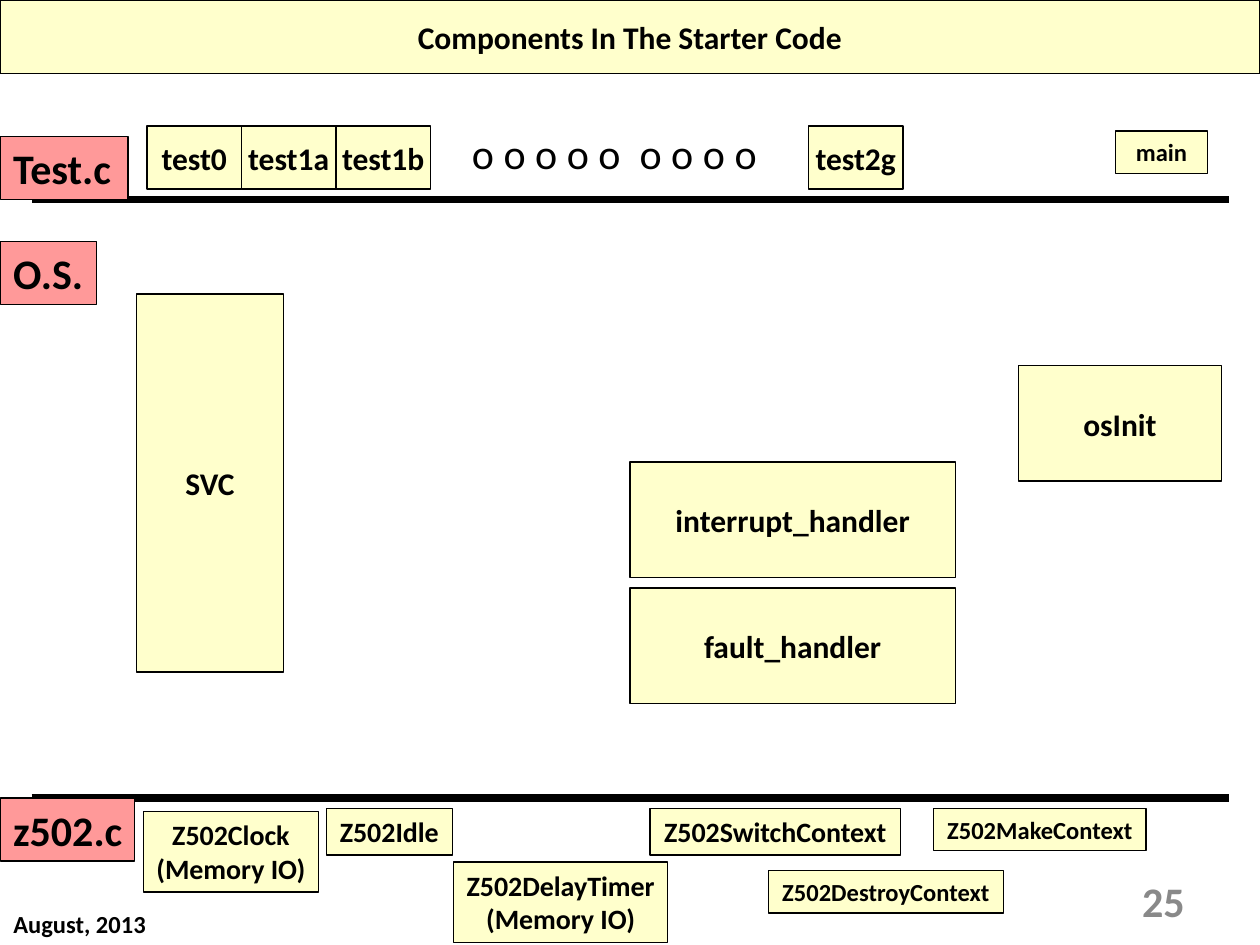
from dataclasses import dataclass

from lxml import etree
from pptx import Presentation
from pptx.dml.color import RGBColor
from pptx.enum.shapes import MSO_CONNECTOR, MSO_SHAPE
from pptx.enum.text import MSO_ANCHOR, MSO_AUTO_SIZE, PP_ALIGN
from pptx.oxml.ns import qn
from pptx.util import Pt

RECT = MSO_SHAPE.RECTANGLE
STRAIGHT = MSO_CONNECTOR.STRAIGHT
TOP, MIDDLE = MSO_ANCHOR.TOP, MSO_ANCHOR.MIDDLE
LEFT, CENTER, RIGHT = PP_ALIGN.LEFT, PP_ALIGN.CENTER, PP_ALIGN.RIGHT
FIXED, GROW = MSO_AUTO_SIZE.NONE, MSO_AUTO_SIZE.SHAPE_TO_FIT_TEXT


@dataclass(frozen=True)
class Theme:
    """Colours, font and type sizes of the slide."""
    font: str = "Calibri"
    ink: RGBColor = RGBColor(0x00, 0x00, 0x00)
    muted: RGBColor = RGBColor(0x89, 0x89, 0x89)
    component: RGBColor = RGBColor(0xFF, 0xFF, 0xCC)
    layer: RGBColor = RGBColor(0xFF, 0x99, 0x99)
    large: float = 24
    body: float = 18
    routine: float = 16
    small: float = 14
    outline: float = 0.75
    divider: float = 4.5


THEME = Theme()


def set_text(sp, text, size, align=CENTER, anchor=MIDDLE, fit=FIXED,
             wrap=False, bold=True, color=THEME.ink):
    """Fill a shape with text and format it."""
    tf = sp.text_frame
    tf.text = text
    tf.auto_size, tf.word_wrap, tf.vertical_anchor = fit, wrap, anchor
    for p in tf.paragraphs:
        p.alignment = align
        for r in p.runs:
            r.font.name, r.font.size, r.font.bold = THEME.font, Pt(size), bold
            r.font.color.rgb = color


def paint(sp, fill):
    """Give a shape a solid fill and the thin outline."""
    sp.fill.solid()
    sp.fill.fore_color.rgb = fill
    sp.line.color.rgb = THEME.ink
    sp.line.width = Pt(THEME.outline)


def add_title(s, text):
    """Turn the title placeholder into the banner across the top."""
    sp = s.shapes.title
    sp.left, sp.top, sp.width, sp.height = Pt(0), Pt(0), Pt(720), Pt(42)
    paint(sp, THEME.component)
    set_text(sp, text, THEME.body, wrap=True)


def add_box(s, text, x, y, w, h, size, fill=THEME.component, **style):
    """Add a filled, outlined rectangle with text."""
    sp = s.shapes.add_shape(RECT, Pt(x), Pt(y), Pt(w), Pt(h))
    sp.shadow.inherit = False
    paint(sp, fill)
    set_text(sp, text, size, **style)


def add_label(s, text, x, y, w, h, size, **style):
    """Add plain text without fill or outline."""
    sp = s.shapes.add_textbox(Pt(x), Pt(y), Pt(w), Pt(h))
    set_text(sp, text, size, **style)


def add_divider(s, y):
    """Add a heavy horizontal line between two layers."""
    line = s.shapes.add_connector(STRAIGHT, Pt(18), Pt(y), Pt(702), Pt(y))
    line.line.color.rgb = THEME.ink
    line.line.width = Pt(THEME.divider)
    etree.SubElement(line._element.spPr, qn("a:effectLst"))


def add_layers(s):
    """Add the dividers and the names of the three layers."""
    for y in (114, 456):
        add_divider(s, y)
    for name, y, w in (("Test.c", 78, 72.7), ("z502.c", 456, 76.7), ("O.S.", 138, 55)):
        add_box(s, name, 0.4, y, w, 36, THEME.large, THEME.layer,
                align=LEFT, anchor=TOP, fit=GROW)


def add_tests(s):
    """Add the row of test programs and the main program."""
    w = 54
    for name, column in (("test0", 0), ("test1a", 1), ("test1b", 2), ("test2g", 7)):
        add_box(s, name, 84 + column * w, 72, w, 36, THEME.body)
    add_label(s, "o o o o o  o o o o", 262.6, 69.4, 177, 36.3, THEME.large,
              align=LEFT, anchor=TOP, fit=GROW, bold=False)
    add_box(s, "main", 637.5, 74.8, 52.5, 24.2, THEME.small,
            anchor=TOP, fit=GROW, wrap=True)


def add_os_components(s):
    """Add the operating system components."""
    for name, x, y, w, h in (("SVC", 78, 168, 84, 216),
                             ("interrupt_handler", 360, 264, 186, 66),
                             ("fault_handler", 360, 336, 186, 66),
                             ("osInit", 582, 209, 116, 66)):
        add_box(s, name, x, y, w, h, THEME.body)


def add_hardware_routines(s):
    """Add the hardware routines below the lower divider."""
    routines = (
        ("Z502Clock\n(Memory IO)", 82, 463.7, 100, 46, THEME.routine),
        ("Z502Idle", 186.5, 462, 72, 26.6, THEME.routine),
        ("Z502DelayTimer\n(Memory IO)", 259.2, 492.5, 122.4, 46, THEME.routine),
        ("Z502SwitchContext", 371.5, 462, 143, 26.6, THEME.routine),
        ("Z502DestroyContext", 439, 497.5, 134.4, 24.2, THEME.small),
        ("Z502MakeContext", 533.5, 462, 121.4, 24.2, THEME.small),
    )
    for name, x, y, w, h, size in routines:
        add_box(s, name, x, y, w, h, size, anchor=TOP, fit=GROW)


def add_footer(s):
    """Add the date and the page number."""
    add_label(s, "August, 2013", 0.5, 516, 90, 24.2, THEME.small,
              align=LEFT, anchor=TOP, fit=GROW)
    add_label(s, "25", 516, 500.5, 168, 28.8, THEME.large,
              align=RIGHT, wrap=True, color=THEME.muted)


def main():
    """Build the slide and save it."""
    prs = Presentation()
    prs.slide_width, prs.slide_height = Pt(720), Pt(540)
    s = prs.slides.add_slide(prs.slide_layouts[5])
    add_title(s, "Components In The Starter Code")
    add_layers(s)
    add_tests(s)
    add_os_components(s)
    add_hardware_routines(s)
    add_footer(s)
    prs.save("out.pptx")


if __name__ == "__main__":
    main()
